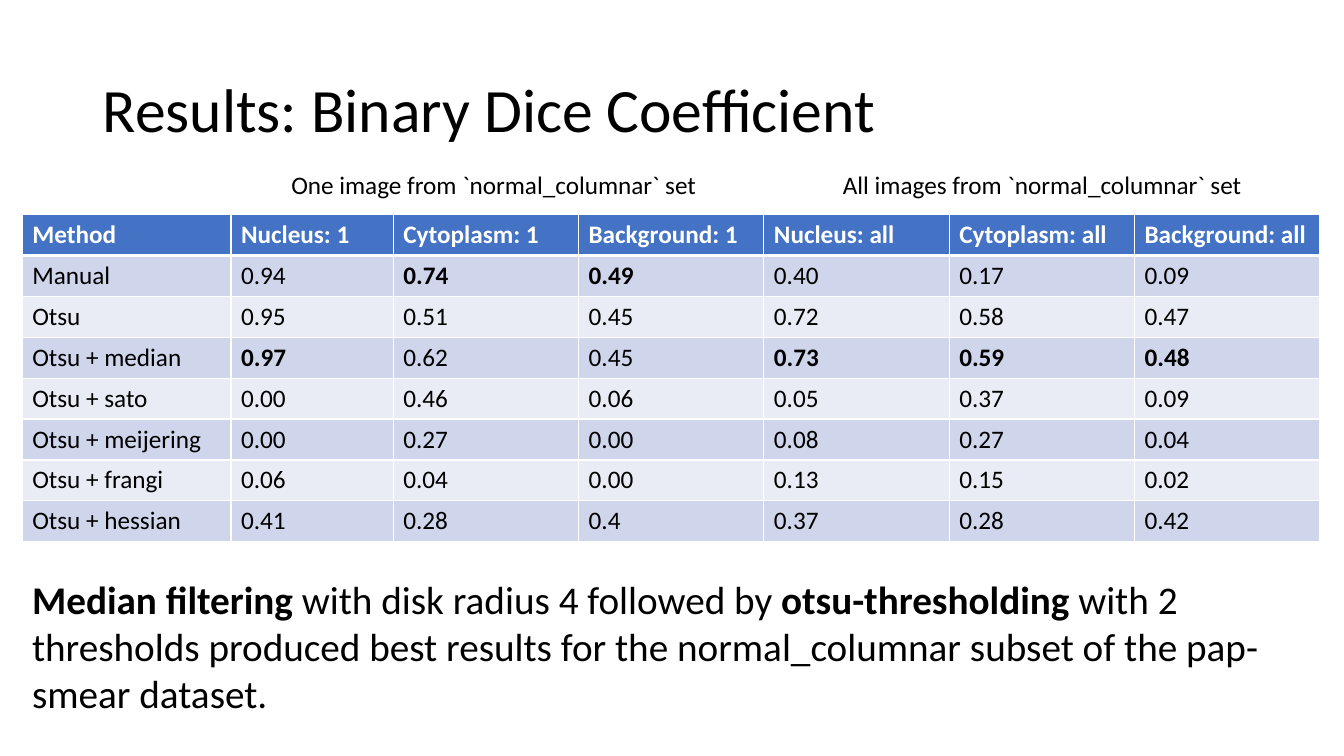
from dataclasses import dataclass

from lxml.etree import SubElement
from pptx import Presentation
from pptx.dml.color import RGBColor as Rgb
from pptx.enum.text import MSO_ANCHOR as Anchor, PP_ALIGN as Align
from pptx.oxml.ns import qn
from pptx.slide import Slide
from pptx.table import _Cell as Cell
from pptx.text.text import _Paragraph as Para
from pptx.util import Cm, Pt

FONT = "Calibri"
BLACK, WHITE = "000000", "FFFFFF"
HEAD, ODD, EVEN = "4472C4", "CFD5EA", "E9EBF5"
WIDTHS = [5.26, 4.09] + [4.67] * 5
ROW = 1.03


@dataclass
class Run:
    text: str
    bold: bool = False


@dataclass
class Label:
    left: float
    top: float
    width: float
    height: float
    size: float
    runs: list[Run]
    align: Align = Align.LEFT
    anchor: Anchor = Anchor.TOP
    space: float = 1.0


LABELS = [
    Label(2.34, 0.99, 29.21, 3.68, 44, [Run("Results: Binary Dice Coefficient")],
          anchor=Anchor.MIDDLE, space=0.9),
    Label(5.56, 4.14, 13.77, 1.02, 18,
          [Run("One image from `normal_columnar` set")], Align.CENTER),
    Label(19.38, 4.14, 13.77, 1.02, 18,
          [Run("All images from `normal_columnar` set")], Align.CENTER),
    Label(0.56, 14.38, 32.56, 3.84, 28, [
        Run("Median filtering ", True),
        Run("with disk radius 4 followed by "),
        Run("otsu-thresholding", True),
        Run(" with 2 thresholds produced best results for the "
            "normal_columnar subset of the pap-smear dataset."),
    ]),
]

TITLES = ["Method"] + [f"{part}: {scope}" for scope in ("1", "all")
                       for part in ("Nucleus", "Cytoplasm", "Background")]
SCORES = {
    "Manual": ["0.94", "0.74", "0.49", "0.40", "0.17", "0.09"],
    "Otsu": ["0.95", "0.51", "0.45", "0.72", "0.58", "0.47"],
    "Otsu + median": ["0.97", "0.62", "0.45", "0.73", "0.59", "0.48"],
    "Otsu + sato": ["0.00", "0.46", "0.06", "0.05", "0.37", "0.09"],
    "Otsu + meijering": ["0.00", "0.27", "0.00", "0.08", "0.27", "0.04"],
    "Otsu + frangi": ["0.06", "0.04", "0.00", "0.13", "0.15", "0.02"],
    "Otsu + hessian": ["0.41", "0.28", "0.4", "0.37", "0.28", "0.42"],
}


def color(code: str) -> Rgb:
    return Rgb.from_string(code)


def add_run(para: Para, item: Run, size: float, code: str) -> None:
    run = para.add_run()
    run.text = item.text
    font = run.font
    font.name, font.size, font.bold = FONT, Pt(size), item.bold
    font.color.rgb = color(code)


def add_label(slide: Slide, label: Label) -> None:
    box = slide.shapes.add_textbox(Cm(label.left), Cm(label.top),
                                   Cm(label.width), Cm(label.height))
    frame = box.text_frame
    frame.word_wrap = True
    frame.vertical_anchor = label.anchor
    para = frame.paragraphs[0]
    para.alignment = label.align
    para.line_spacing = label.space
    for item in label.runs:
        add_run(para, item, label.size, BLACK)


def add_edges(cell: Cell, top: float, base: float) -> None:
    props = cell._tc.get_or_add_tcPr()
    for side, width in (("L", 1), ("R", 1), ("T", top), ("B", base)):
        line = SubElement(props, qn(f"a:ln{side}"), w=str(Pt(width)))
        fill = SubElement(line, qn("a:solidFill"))
        SubElement(fill, qn("a:srgbClr"), val=WHITE)


def fill_cell(cell: Cell, item: Run, row: int) -> None:
    add_edges(cell, 3 if row == 1 else 1, 3 if row == 0 else 1)
    cell.fill.solid()
    cell.fill.fore_color.rgb = color(
        HEAD if row == 0 else ODD if row % 2 else EVEN)
    add_run(cell.text_frame.paragraphs[0], item, 18,
            BLACK if row else WHITE)


def add_grid(slide: Slide) -> None:
    best = [max(col, key=float) for col in zip(*SCORES.values())]
    rows = [[Run(title, True) for title in TITLES]]
    for name, marks in SCORES.items():
        rows.append([Run(name)] + [Run(mark, mark == top)
                                   for mark, top in zip(marks, best)])
    table = slide.shapes.add_table(
        len(rows), len(WIDTHS), Cm(0.56), Cm(5.41),
        Cm(sum(WIDTHS)), Cm(ROW * len(rows))).table
    for col, width in zip(table.columns, WIDTHS):
        col.width = Cm(width)
    for r, items in enumerate(rows):
        table.rows[r].height = Cm(ROW)
        for c, item in enumerate(items):
            fill_cell(table.cell(r, c), item, r)


def main() -> None:
    deck = Presentation()
    deck.slide_width, deck.slide_height = Cm(33.87), Cm(19.05)
    slide = deck.slides.add_slide(deck.slide_layouts[6])
    title, *notes = LABELS
    add_label(slide, title)
    add_grid(slide)
    for label in notes:
        add_label(slide, label)
    deck.save("out.pptx")


if __name__ == "__main__":
    main()
